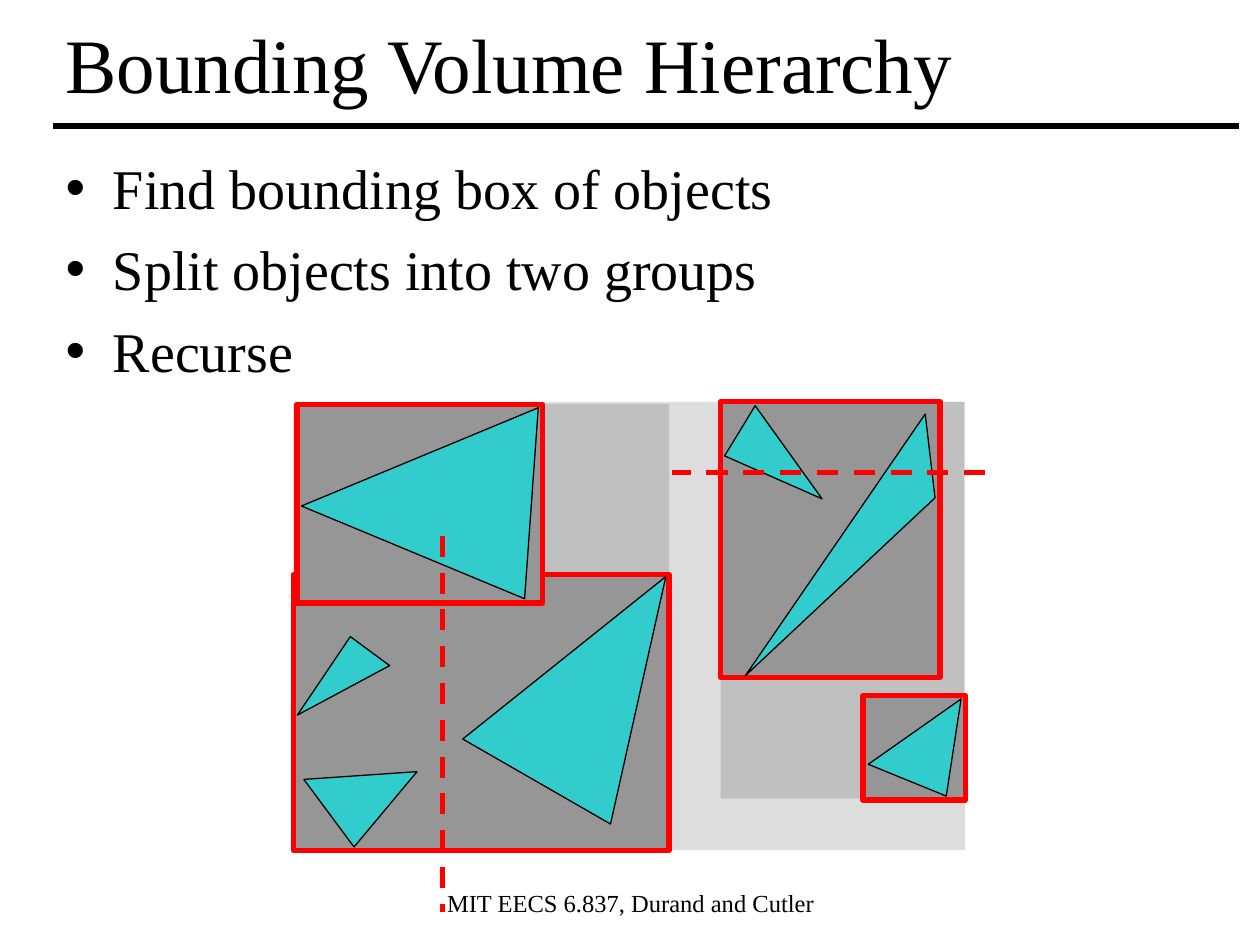
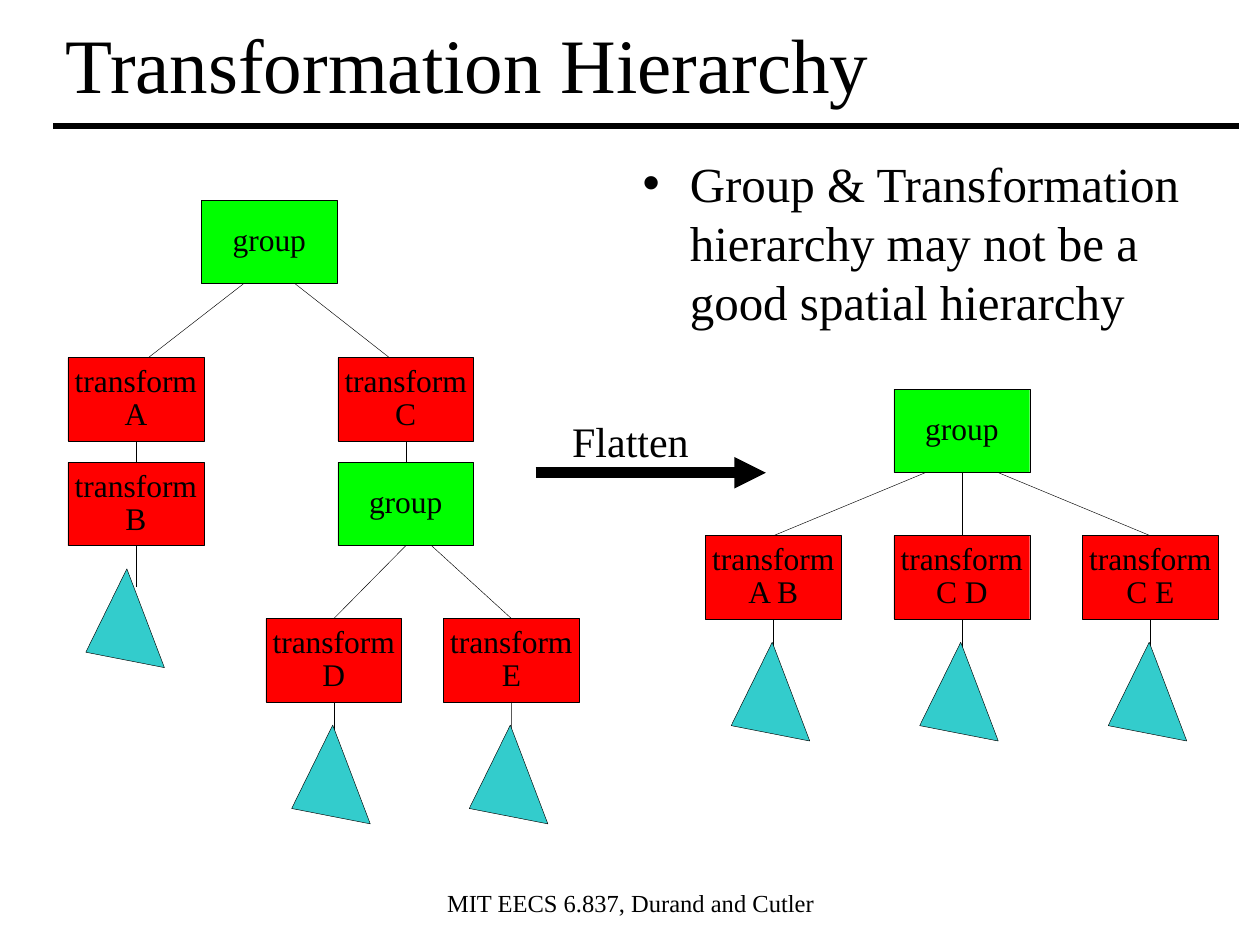
from lxml.etree import SubElement
from pptx import Presentation
from pptx.dml.color import RGBColor
from pptx.enum.dml import MSO_LINE
from pptx.enum.shapes import MSO_CONNECTOR, MSO_SHAPE
from pptx.enum.text import MSO_ANCHOR, MSO_AUTO_SIZE, PP_ALIGN
from pptx.oxml.ns import qn
from pptx.util import Cm, Pt

COLORS = {
    "ink": "000000",
    "scene": "DDDDDD",
    "half": "C0C0C0",
    "leaf_box": "969696",
    "red": "FF0000",
    "green": "00FF00",
    "teal": "33CCCC",
}
FONT = "Times New Roman"
FOOTER = "MIT EECS 6.837, Durand and Cutler"
NODE_WIDTH, NODE_HEIGHT = 2.74, 1.68
THIN = 0.25


def color(name):
    return RGBColor.from_string(COLORS[name])


class Deck:
    def __init__(self):
        self.presentation = Presentation()
        self.presentation.slide_width = Cm(25.4)
        self.presentation.slide_height = Cm(19.05)
        self.slide = None

    def new_slide(self, title):
        layout = self.presentation.slide_layouts[1]
        self.slide = self.presentation.slides.add_slide(layout)
        shape = self.slide.shapes.title
        self.place(shape, 1.07, 0, 23.9, 2.51)
        self.fill_text(shape.text_frame, title, 44)
        self.line((1.07, 2.54), (24.97, 2.54), 3)
        self.text(FOOTER, 8.69, 17.78, 8.05, 1.45, 14)

    def place(self, shape, left, top, width, height):
        shape.left, shape.top = Cm(left), Cm(top)
        shape.width, shape.height = Cm(width), Cm(height)

    def fill_text(self, text_frame, text, size, align=PP_ALIGN.LEFT,
                  anchor=MSO_ANCHOR.MIDDLE, space=0, spacing=None):
        text_frame.text = text
        text_frame.word_wrap = True
        text_frame.auto_size = MSO_AUTO_SIZE.NONE
        text_frame.vertical_anchor = anchor
        for index, paragraph in enumerate(text_frame.paragraphs):
            paragraph.alignment = align
            paragraph.space_before = Pt(space if index else 0)
            if spacing:
                paragraph.line_spacing = spacing
            for run in paragraph.runs:
                run.font.name = FONT
                run.font.size = Pt(size)
                run.font.color.rgb = color("ink")

    def bullets(self, items, left, width, size):
        shape = self.slide.placeholders[1]
        self.place(shape, left, 2.97, width, 14.58)
        self.fill_text(shape.text_frame, "\n".join(items), size,
                       anchor=MSO_ANCHOR.TOP, space=8)

    def text(self, text, left, top, width, height, size):
        box = self.slide.shapes.add_textbox(Cm(left), Cm(top), Cm(width), Cm(height))
        self.fill_text(box.text_frame, text, size, PP_ALIGN.CENTER, MSO_ANCHOR.TOP)

    def shape(self, kind, left, top, width, height, fill, line=None, weight=THIN):
        shape = self.slide.shapes.add_shape(
            kind, Cm(left), Cm(top), Cm(width), Cm(height))
        shape.shadow.inherit = False
        shape.fill.solid()
        shape.fill.fore_color.rgb = color(fill)
        if line:
            shape.line.color.rgb = color(line)
            shape.line.width = Pt(weight)
        else:
            shape.line.fill.background()
        return shape

    def box(self, left, top, width, height, fill, line=None, weight=3):
        return self.shape(MSO_SHAPE.RECTANGLE, left, top, width, height,
                          fill, line, weight)

    def triangle(self, left, top, width, height, rotation, apex, weight):
        shape = self.shape(MSO_SHAPE.ISOSCELES_TRIANGLE, left, top, width, height,
                           "teal", "ink", weight)
        shape.adjustments[0] = apex
        shape.rotation = rotation

    def line(self, start, end, weight, stroke="ink", dashed=False, arrow=False):
        connector = self.slide.shapes.add_connector(
            MSO_CONNECTOR.STRAIGHT, *[Cm(value) for value in (*start, *end)])
        connector.line.color.rgb = color(stroke)
        connector.line.width = Pt(weight)
        if dashed:
            connector.line.dash_style = MSO_LINE.DASH
        properties = connector._element.spPr
        if arrow:
            SubElement(properties.find(qn("a:ln")), qn("a:tailEnd"), type="triangle")
        SubElement(properties, qn("a:effectLst"))
        return connector

    def node(self, text, left, top, fill):
        shape = self.box(left, top, NODE_WIDTH, NODE_HEIGHT, fill, "ink", THIN)
        frame = shape.text_frame
        frame.margin_left = frame.margin_right = Cm(0)
        frame.margin_top = frame.margin_bottom = Cm(0)
        self.fill_text(frame, text, 18, PP_ALIGN.CENTER, spacing=0.87)
        return shape

    def group(self, left, top):
        return self.node("group", left, top, "green")

    def transform(self, name, left, top):
        return self.node(f"transform\n{name}", left, top, "red")

    def branch(self, parent, child, parent_shift=0, child_shift=0):
        start = (parent.left.cm + NODE_WIDTH / 2 + parent_shift,
                 parent.top.cm + NODE_HEIGHT)
        end = (child.left.cm + NODE_WIDTH / 2 + child_shift, child.top.cm)
        connector = self.line(start, end, THIN)
        if not parent_shift:
            connector.begin_connect(parent, 2)
        if not child_shift:
            connector.end_connect(child, 0)

    def leaf(self, parent, shift=0.02):
        center = parent.left.cm + NODE_WIDTH / 2
        bottom = parent.top.cm + NODE_HEIGHT
        stem = self.line((center, bottom), (center, bottom + 0.84), THIN)
        stem.begin_connect(parent, 2)
        self.triangle(parent.left.cm + shift, bottom + 1.02, 2.13, 1.37,
                      249.2, 0.4, THIN)


def bounding_volumes(deck):
    deck.new_slide("Bounding Volume Hierarchy")
    deck.bullets(["Find bounding box of objects", "Split objects into two groups",
                  "Recurse"], 1.07, 23.44, 32)
    deck.box(5.92, 8.1, 13.54, 9.04, "scene")
    deck.box(14.53, 8.1, 4.9, 8, "half")
    deck.box(5.92, 8.15, 7.57, 8.99, "half")
    for bounds in [
        (5.92, 11.58, 7.57, 5.56),
        (14.53, 8.1, 4.42, 5.56),
        (5.99, 8.15, 4.95, 4.01),
        (17.4, 14.02, 2.06, 2.11),
    ]:
        deck.box(*bounds, "leaf_box", "red")
    for triangle in [
        (14.3, 8.89, 2.31, 1.09, 234.3, 0.8),
        (14.1, 10.74, 6.4, 1.12, 124.5, 0.2),
        (6.48, 7.67, 3.86, 4.62, 274.1, 0.4),
        (8.71, 12.12, 5.11, 3.28, 282.6, 0.2),
        (5.66, 13.08, 2.11, 0.89, 331.8, 0.8),
        (17.42, 14.12, 1.98, 1.65, 278.7, 0.2),
        (6.15, 14.96, 1.98, 1.65, 309.9, 0.2),
    ]:
        deck.triangle(*triangle, 0.75)
    deck.line((19.86, 9.53), (13.54, 9.53), 3, "red", dashed=True)
    deck.line((8.92, 10.8), (8.92, 18.39), 3, "red", dashed=True)


def transformation_tree(deck):
    root = deck.group(4.06, 4.04)
    a = deck.transform("A", 1.37, 7.21)
    b = deck.transform("B", 1.37, 9.32)
    c = deck.transform("C", 6.81, 7.21)
    inner = deck.group(6.81, 9.32)
    d = deck.transform("D", 5.36, 12.47)
    e = deck.transform("E", 8.94, 12.47)
    deck.branch(root, a, -0.52, 0.25)
    deck.branch(root, c, 0.52, -0.33)
    deck.branch(a, b)
    deck.branch(c, inner)
    deck.branch(inner, d)
    deck.branch(inner, e, 0.52)
    deck.leaf(b, -0.14)
    deck.leaf(d)
    deck.leaf(e)


def flattened_tree(deck):
    root = deck.group(18.02, 7.85)
    for index, name in enumerate(["A B", "C D", "C E"]):
        child = deck.transform(name, 14.22 + 3.8 * index, 10.8)
        deck.branch(root, child, 0.74 * (index - 1))
        deck.leaf(child)


def transformations(deck):
    deck.new_slide("Transformation Hierarchy")
    deck.bullets(["Group & Transformation hierarchy may not be a good spatial hierarchy"],
                 12.7, 11.81, 28)
    transformation_tree(deck)
    flattened_tree(deck)
    deck.line((10.8, 9.53), (15.44, 9.53), 6, arrow=True)
    deck.text("Flatten", 11.02, 8.25, 3.38, 1.27, 24)


def main():
    deck = Deck()
    bounding_volumes(deck)
    transformations(deck)
    deck.presentation.save("out.pptx")


if __name__ == "__main__":
    main()
